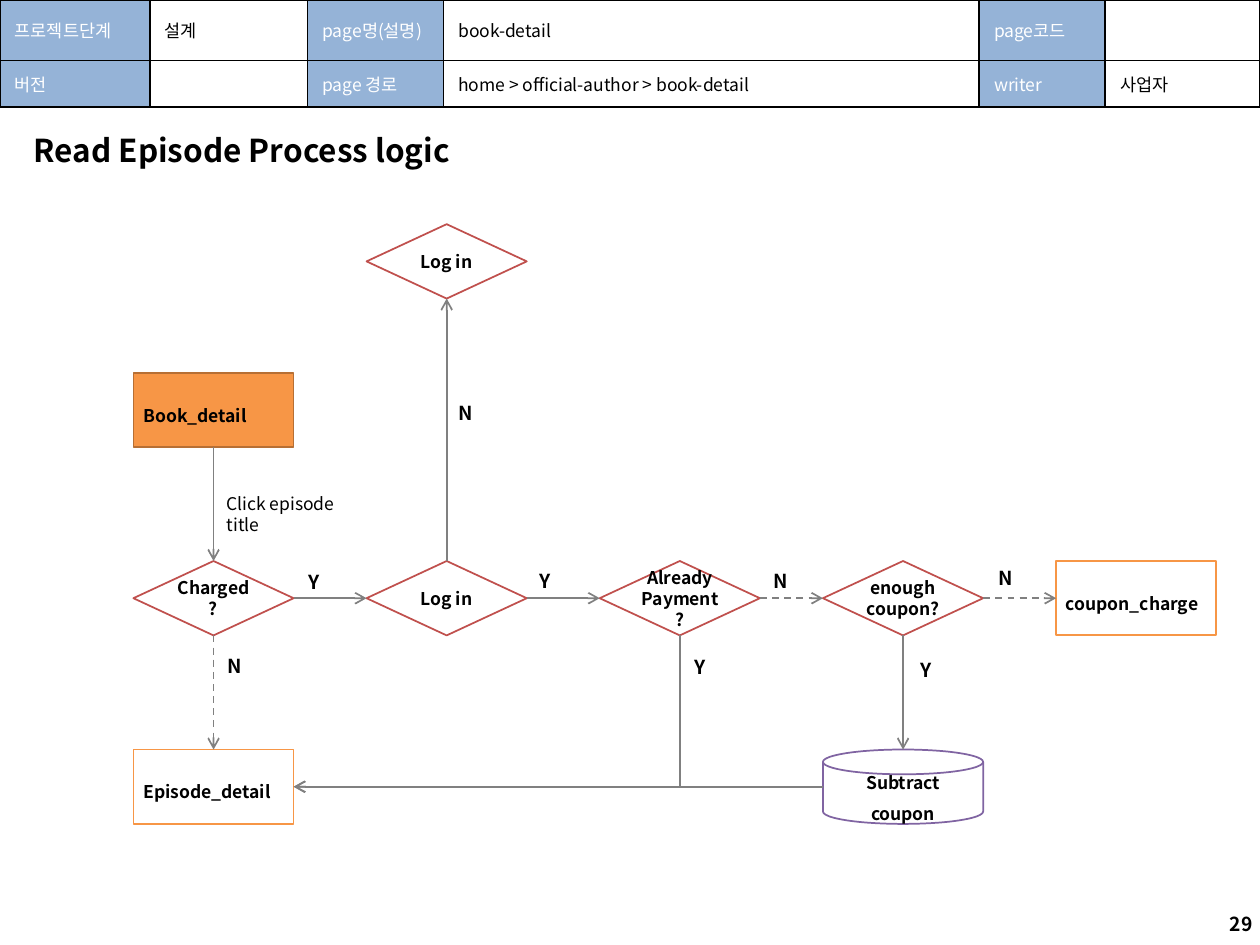
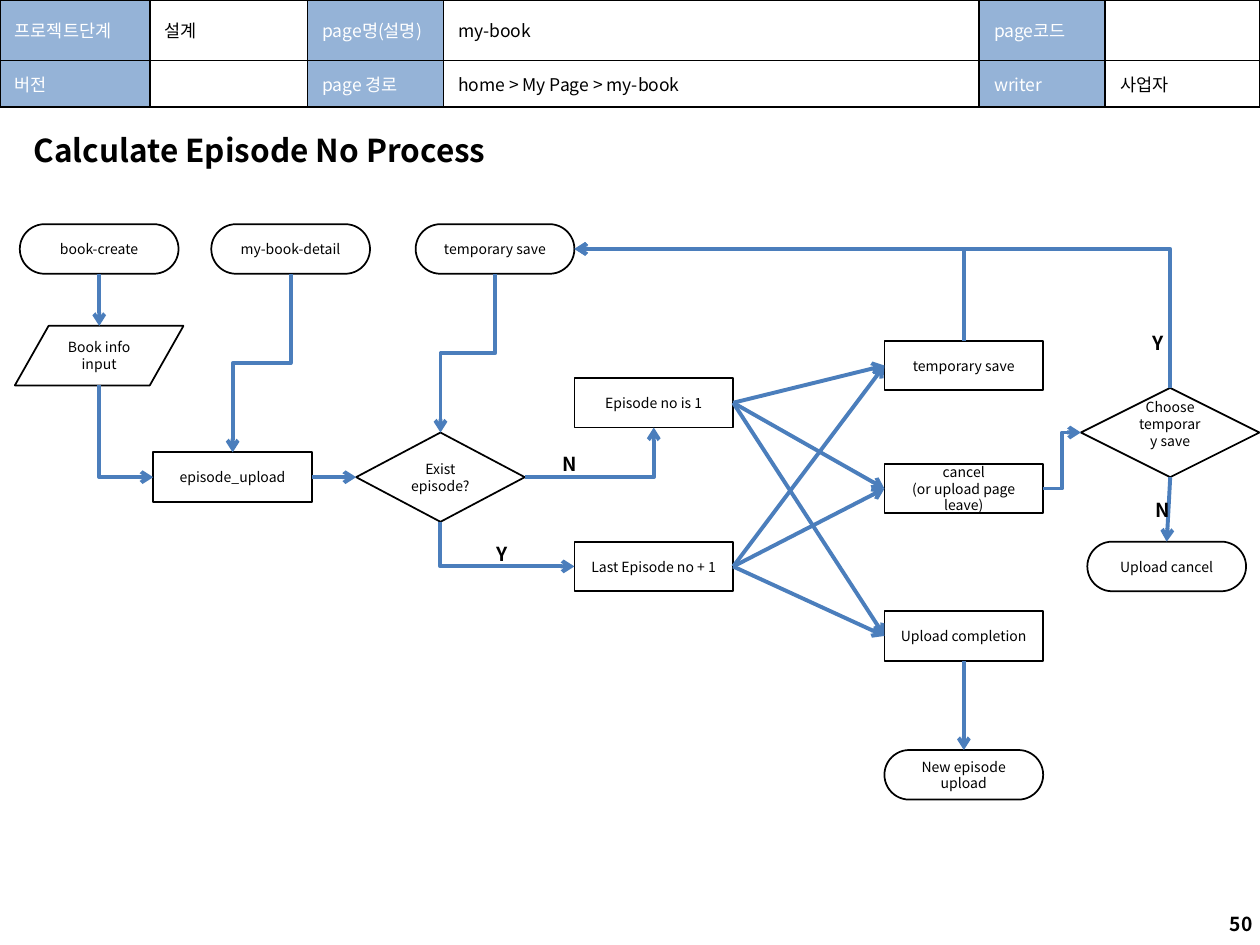
from dataclasses import dataclass
from enum import IntEnum

from lxml.etree import SubElement
from pptx import Presentation
from pptx.dml.color import RGBColor
from pptx.enum.dml import MSO_LINE
from pptx.enum.shapes import MSO_CONNECTOR as Link, MSO_SHAPE as Kind
from pptx.enum.text import MSO_ANCHOR as Anchor, PP_ALIGN as Align
from pptx.oxml.ns import qn
from pptx.util import Cm, Pt


@dataclass(frozen=True)
class Theme:
    font: str = "Noto Sans CJK KR"
    black: str = "000000"
    white: str = "FFFFFF"
    header: str = "95B3D7"
    page: str = "F79646"
    page_edge: str = "B76F34"
    decision: str = "C0504D"
    storage: str = "8064A2"
    gray_arrow: str = "808080"
    blue_arrow: str = "4B7EBC"
    title_size: float = 18
    label_size: float = 11
    body_size: float = 10
    node_size: float = 8


@dataclass(frozen=True)
class Box:
    """A rectangle in centimetres."""
    left: float
    top: float
    width: float
    height: float

    def inner(self, x, y, width, height):
        return Box(self.left + x, self.top + y, width, height)

    def lengths(self):
        return [Cm(value) for value in (self.left, self.top, self.width, self.height)]


class Side(IntEnum):
    TOP = 0
    LEFT = 1
    BOTTOM = 2
    RIGHT = 3


THEME = Theme()
NORMAL_MARGINS = (0.25, 0.13, 0.25, 0.13)
TIGHT_MARGINS = (0.2, 0.1, 0.2, 0.1)
NO_MARGINS = (0, 0, 0, 0)
CONNECTION_SITES = {
    Kind.FLOWCHART_DATA: {Side.TOP: 1, Side.BOTTOM: 4},
    Kind.FLOWCHART_MAGNETIC_DISK: {Side.TOP: 1, Side.LEFT: 2},
}


def rgb(color):
    return RGBColor.from_string(color)


def write_text(frame, text, size=THEME.body_size, color=THEME.black, bold=False,
               align=Align.LEFT, anchor=Anchor.MIDDLE, margins=NORMAL_MARGINS,
               spacing=None, wrap=True):
    """Fill a text frame; a list gives one paragraph per item."""
    frame.word_wrap = wrap
    frame.vertical_anchor = anchor
    (frame.margin_left, frame.margin_top,
     frame.margin_right, frame.margin_bottom) = [Cm(margin) for margin in margins]
    for index, line in enumerate([text] if isinstance(text, str) else text):
        paragraph = frame.add_paragraph() if index else frame.paragraphs[0]
        paragraph.text = line
        paragraph.alignment = align
        paragraph.line_spacing = spacing
        for run in paragraph.runs:
            run.font.size = Pt(size)
            run.font.bold = bold
            run.font.color.rgb = rgb(color)
            run.font.name = THEME.font
            SubElement(run.font._element, qn("a:ea"), typeface=THEME.font)
        if not line:
            SubElement(paragraph._p, qn("a:endParaRPr"), sz=str(size * 100))


def add_label(slide, box, text, **text_format):
    write_text(slide.shapes.add_textbox(*box.lengths()).text_frame, text, **text_format)


def add_node(slide, box, kind, text, fill=THEME.white, line=THEME.black, **text_format):
    node = slide.shapes.add_shape(kind, *box.lengths())
    node.shadow.inherit = False
    if fill:
        node.fill.solid()
        node.fill.fore_color.rgb = rgb(fill)
    else:
        node.fill.background()
    node.line.color.rgb = rgb(line)
    node.line.width = Pt(1)
    if kind == Kind.ROUNDED_RECTANGLE:
        node.adjustments[0] = 0.5
    write_text(node.text_frame, text, **text_format)
    return node


def side_point(node, side):
    x = {Side.LEFT: 0, Side.RIGHT: node.width}.get(side, node.width // 2)
    y = {Side.TOP: 0, Side.BOTTOM: node.height}.get(side, node.height // 2)
    return node.left + x, node.top + y


def bend(connector, start, end, leaves_vertically, turns):
    """Lay out an elbow; one that leaves vertically is a turned horizontal one."""
    dx, dy = end[0] - start[0], end[1] - start[1]
    width, height = abs(dx), abs(dy)
    flip_h, flip_v, rotation = dx < 0, dy < 0, 0
    if leaves_vertically:
        width, height = height, width
        flip_h, flip_v, rotation = dy > 0, dx < 0, 270
        if flip_h and flip_v:
            flip_h, flip_v, rotation = False, False, 90
    properties = connector._element.spPr
    properties.find(qn("a:prstGeom")).set("prst", f"bentConnector{turns + 1}")
    frame = properties.find(qn("a:xfrm"))
    frame.set("rot", str(rotation * 60000))
    frame.set("flipH", str(int(flip_h)))
    frame.set("flipV", str(int(flip_v)))
    connector.left = (start[0] + end[0] - width) // 2
    connector.top = (start[1] + end[1] - height) // 2
    connector.width, connector.height = width, height


def connect(slide, begin, begin_side, end, end_side, color, weight,
            dashed=False, elbow=False):
    start, finish = side_point(begin, begin_side), side_point(end, end_side)
    connector = slide.shapes.add_connector(
        Link.ELBOW if elbow else Link.STRAIGHT, *start, *finish)
    connector.begin_connect(begin, begin_side)
    connector.end_connect(end, end_side)
    for tag, node, side in (("a:stCxn", begin, begin_side), ("a:endCxn", end, end_side)):
        site = CONNECTION_SITES.get(node.auto_shape_type, {}).get(side, side)
        for joint in connector._element.iter(qn(tag)):
            joint.set("idx", str(int(site)))
    if elbow:
        same_axis = begin_side % 2 == end_side % 2
        bend(connector, start, finish, begin_side % 2 == 0, 2 if same_axis else 1)
    connector.line.color.rgb = rgb(color)
    connector.line.width = Pt(weight)
    if dashed:
        connector.line.dash_style = MSO_LINE.DASH
    SubElement(connector.line._get_or_add_ln(), qn("a:tailEnd"), type="arrow")
    SubElement(connector._element.spPr, qn("a:effectLst"))


def add_border(cell):
    properties = cell._tc.get_or_add_tcPr()
    for edge in ("L", "R", "T", "B"):
        line = SubElement(properties, qn(f"a:ln{edge}"), w=str(Pt(1)))
        fill = SubElement(line, qn("a:solidFill"))
        SubElement(fill, qn("a:srgbClr"), val=THEME.black)


def add_header(slide, box, page_name, page_route):
    rows = (("프로젝트단계", "설계", "page명(설명)", page_name, "page코드", ""),
            ("버전", "", "page 경로", page_route, "writer", "사업자"))
    table = slide.shapes.add_table(2, 6, *box.lengths()).table
    for column, width in zip(table.columns, (3.02, 3.18, 2.74, 10.8, 2.54, 3.12)):
        column.width = Cm(width)
    for row, height, texts in zip(table.rows, (0.97, 0.94), rows):
        row.height = Cm(height)
        for index, (cell, text) in enumerate(zip(row.cells, texts)):
            is_name = index % 2 == 0
            add_border(cell)
            if is_name:
                cell.fill.solid()
                cell.fill.fore_color.rgb = rgb(THEME.header)
            else:
                cell.fill.background()
            write_text(cell.text_frame, text,
                       color=THEME.white if is_name else THEME.black)
            cell.vertical_anchor = Anchor.MIDDLE
            cell.margin_left = cell.margin_right = Cm(0.3)
            cell.margin_top = cell.margin_bottom = Cm(0.1)


def add_page(presentation, title, title_width, number, page_name, page_route):
    slide = presentation.slides.add_slide(presentation.slide_layouts[5])
    add_header(slide, Box(0, 0, 25.4, 1.91), page_name, page_route)
    heading = slide.shapes.title
    heading.left, heading.top, heading.width, heading.height = Box(
        0.43, 2.51, title_width, 1.02).lengths()
    write_text(heading.text_frame, title, size=THEME.title_size, bold=True,
               anchor=Anchor.TOP)
    add_label(slide, Box(19.58, 18.11, 5.92, 1.02), number, size=THEME.label_size,
              bold=True, align=Align.RIGHT)
    return slide


def add_read_episode_flow(slide, box):
    columns = (0, 4.7, 9.4, 13.9, 18.6)
    rows = (0, 3, 6.79, 10.59)

    def node(column, row, kind, text, **style):
        return add_node(slide, box.inner(columns[column], rows[row], 3.23, 1.5),
                        kind, text, bold=True, **style)

    def page(column, row, text, fill=THEME.white, line=THEME.page):
        return node(column, row, Kind.RECTANGLE, text, fill=fill, line=line,
                    margins=TIGHT_MARGINS, spacing=1.5)

    def decision(column, row, text):
        return node(column, row, Kind.FLOWCHART_DECISION, text, line=THEME.decision,
                    align=Align.CENTER, margins=NO_MARGINS)

    book = page(0, 1, "Book_detail", fill=THEME.page, line=THEME.page_edge)
    episode = page(0, 3, "Episode_detail")
    charge = page(4, 2, "coupon_charge")
    login_page = decision(1, 0, "Log in")
    charged = decision(0, 2, "Charged?")
    login = decision(1, 2, "Log in")
    paid = decision(2, 2, ["Already", "Payment?"])
    enough = decision(3, 2, "enough\vcoupon?")
    subtract = node(3, 3, Kind.FLOWCHART_MAGNETIC_DISK, "Subtract coupon",
                    line=THEME.storage, align=Align.CENTER, margins=TIGHT_MARGINS,
                    spacing=1.5)

    for begin, begin_side, end, end_side, style in (
            (book, Side.BOTTOM, charged, Side.TOP, {}),
            (charged, Side.RIGHT, login, Side.LEFT, {}),
            (charged, Side.BOTTOM, episode, Side.TOP, {"dashed": True}),
            (login, Side.TOP, login_page, Side.BOTTOM, {}),
            (login, Side.RIGHT, paid, Side.LEFT, {}),
            (paid, Side.RIGHT, enough, Side.LEFT, {"dashed": True}),
            (paid, Side.BOTTOM, episode, Side.RIGHT, {"elbow": True}),
            (enough, Side.RIGHT, charge, Side.LEFT, {"dashed": True}),
            (enough, Side.BOTTOM, subtract, Side.TOP, {}),
            (subtract, Side.LEFT, episode, Side.RIGHT, {})):
        connect(slide, begin, begin_side, end, end_side, THEME.gray_arrow, 1, **style)

    add_label(slide, box.inner(1.63, 5.28, 2.79, 1.12), "Click episode title",
              anchor=Anchor.TOP)
    for text, x, y in (("Y", 3.23, 6.83), ("N", 6.28, 3.43), ("Y", 7.88, 6.81),
                       ("Y", 15.57, 8.61), ("N", 17.17, 6.76), ("N", 1.63, 8.54),
                       ("Y", 11, 8.56), ("N", 12.63, 6.81)):
        add_label(slide, box.inner(x, y, 0.84, 0.74), text, size=THEME.label_size,
                  bold=True, align=Align.CENTER)


def add_episode_number_flow(slide, box):
    def node(x, y, text, kind=Kind.RECTANGLE, width=3.2, height=1, **style):
        return add_node(slide, box.inner(x, y, width, height), kind, text,
                        size=THEME.node_size, align=Align.CENTER, **style)

    def terminal(x, y, text):
        return node(x, y, text, Kind.ROUNDED_RECTANGLE)

    create = terminal(0.1, 0, "book-create")
    detail = terminal(3.96, 0, "my-book-detail")
    saved = terminal(8.08, 0, "temporary save")
    book_info = node(0, 2.05, "Book info\vinput", Kind.FLOWCHART_DATA,
                     3.4, 1.2, fill=None)
    upload = node(2.79, 4.6, "episode_upload")
    exists = node(6.88, 4.2, "Exist episode?", Kind.FLOWCHART_DECISION, 3.4, 1.8)
    first = node(11.28, 3.1, "Episode no is 1")
    following = node(11.28, 6.4, "Last Episode no + 1")
    save = node(17.53, 2.35, "temporary save")
    cancel = node(17.53, 4.83, "cancel\v(or upload page leave)")
    complete = node(17.53, 7.8, "Upload completion")
    new_episode = terminal(17.53, 10.6, "New episode upload")
    cancelled = terminal(21.62, 6.4, "Upload cancel")
    choose = node(21.49, 3.3, "Choose temporary save", Kind.FLOWCHART_DECISION,
                  3.6, 1.8, margins=(0.25, 0.13, 0.25, 0.47))

    straight = [(create, Side.BOTTOM, book_info, Side.TOP),
                (upload, Side.RIGHT, exists, Side.LEFT),
                (choose, Side.BOTTOM, cancelled, Side.TOP),
                (complete, Side.BOTTOM, new_episode, Side.TOP)]
    straight += [(number, Side.RIGHT, action, Side.LEFT)
                 for number in (first, following) for action in (save, cancel, complete)]
    elbows = [(book_info, Side.BOTTOM, upload, Side.LEFT),
              (detail, Side.BOTTOM, upload, Side.TOP),
              (saved, Side.BOTTOM, exists, Side.TOP),
              (exists, Side.BOTTOM, following, Side.LEFT),
              (exists, Side.RIGHT, first, Side.BOTTOM),
              (cancel, Side.RIGHT, choose, Side.LEFT),
              (save, Side.TOP, saved, Side.RIGHT),
              (choose, Side.TOP, saved, Side.RIGHT)]
    for links, elbow in ((straight, False), (elbows, True)):
        for link in links:
            connect(slide, *link, THEME.blue_arrow, 2.25, elbow=elbow)

    for text, x, y in (("N", 10.8, 4.47), ("Y", 9.45, 6.28),
                       ("N", 22.74, 5.39), ("Y", 22.69, 2.03)):
        add_label(slide, box.inner(x, y, 0.48, 0.74), text, size=THEME.label_size,
                  bold=True, align=Align.CENTER, margins=(0.25, 0.13, 0, 0.13), wrap=False)


def main():
    presentation = Presentation()
    presentation.slide_width, presentation.slide_height = Cm(25.4), Cm(19.05)
    read_page = add_page(presentation, "Read Episode Process logic", 17.27, "29",
                         "book-detail", "home > official-author > book-detail")
    add_read_episode_flow(read_page, Box(2.69, 4.52, 21.83, 12.09))
    number_page = add_page(presentation, "Calculate Episode No Process", 11.46, "50",
                           "my-book", "home > My Page > my-book")
    add_episode_number_flow(number_page, Box(0.3, 4.52, 25.1, 11.6))
    presentation.save("out.pptx")


if __name__ == "__main__":
    main()
